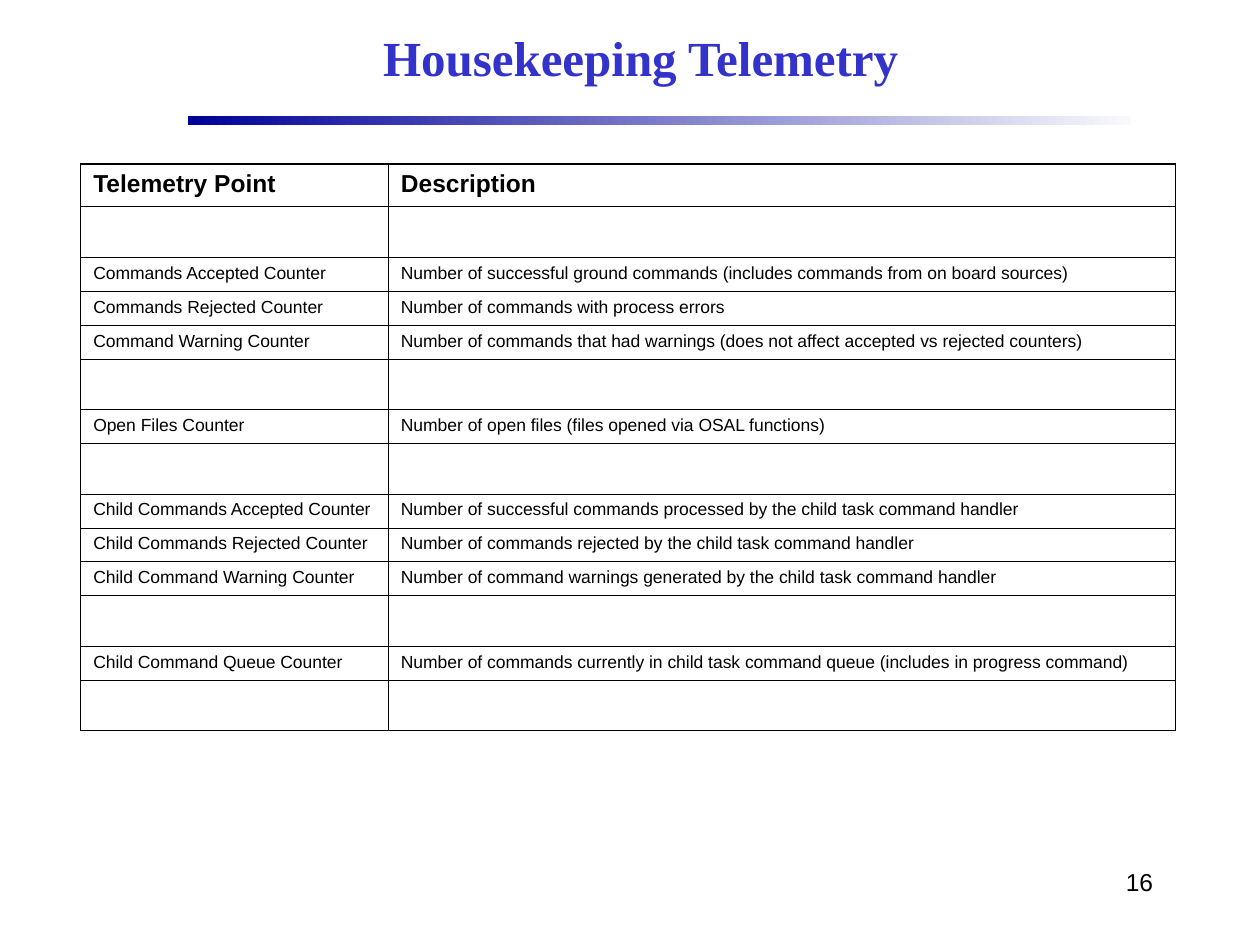
from dataclasses import dataclass

from lxml.etree import SubElement
from pptx import Presentation
from pptx.dml.color import RGBColor
from pptx.enum.shapes import MSO_SHAPE
from pptx.enum.text import MSO_ANCHOR, PP_ALIGN
from pptx.oxml.ns import qn
from pptx.util import Inches, Pt


@dataclass(frozen=True)
class Theme:
    ink: str = "000000"
    title: str = "3333CC"
    bar: tuple = ("000099", "F9F9FD")
    sans: str = "Arial"
    serif: str = "Times New Roman"
    big: int = 28
    mid: int = 14
    small: int = 10
    thin: float = 0.45
    thick: float = 1.08


THEME = Theme()
HEAD = ("Telemetry Point", "Description")
GAP = ("", "")
ROWS = [
    HEAD,
    GAP,
    ("Commands Accepted Counter",
     "Number of successful ground commands (includes commands from on board sources)"),
    ("Commands Rejected Counter", "Number of commands with process errors"),
    ("Command Warning Counter",
     "Number of commands that had warnings (does not affect accepted vs rejected counters)"),
    GAP,
    ("Open Files Counter", "Number of open files (files opened via OSAL functions)"),
    GAP,
    ("Child Commands Accepted Counter",
     "Number of successful commands processed by the child task command handler"),
    ("Child Commands Rejected Counter",
     "Number of commands rejected by the child task command handler"),
    ("Child Command Warning Counter",
     "Number of command warnings generated by the child task command handler"),
    GAP,
    ("Child Command Queue Counter",
     "Number of commands currently in child task command queue (includes in progress command)"),
    GAP,
]


def put(frame, text, size=THEME.small, font=THEME.sans, color=THEME.ink,
        bold=False, align=PP_ALIGN.LEFT):
    frame.word_wrap = True
    par = frame.paragraphs[0]
    par.alignment = align
    run = par.add_run()
    run.text = text
    run.font.size = Pt(size)
    run.font.name = font
    run.font.bold = bold
    run.font.color.rgb = RGBColor.from_string(color)


def add_title(slide, box, text):
    frame = slide.shapes.add_textbox(*box).text_frame
    frame.vertical_anchor = MSO_ANCHOR.MIDDLE
    put(frame, text, size=THEME.big, font=THEME.serif, color=THEME.title,
        bold=True, align=PP_ALIGN.CENTER)


def add_bar(slide, box):
    bar = slide.shapes.add_shape(MSO_SHAPE.RECTANGLE, *box)
    bar.shadow.inherit = False
    bar.line.fill.background()
    bar.fill.gradient()
    bar.fill.gradient_angle = 0
    for stop, color, place in zip(bar.fill.gradient_stops, THEME.bar, (0, 1)):
        stop.color.rgb = RGBColor.from_string(color)
        stop.position = place


def add_edges(cell, **widths):
    """Draw the cell borders; widths must come in the order L, R, T, B."""
    props = cell._tc.get_or_add_tcPr()
    for side, width in widths.items():
        line = SubElement(props, qn(f"a:ln{side}"), w=str(Pt(width)))
        fill = SubElement(line, qn("a:solidFill"))
        SubElement(fill, qn("a:srgbClr"), val=THEME.ink)


def row_height(row):
    if row is HEAD:
        return Inches(0.34)
    return Inches(0.38) if row is GAP else Inches(0.27)


def add_grid(slide, box, rows, split=0.281):
    """Place the table; split is the first column's share of the width."""
    left, top, width, height = box
    grid = slide.shapes.add_table(len(rows), 2, left, top, width, height).table
    grid.first_row = grid.horz_banding = False
    first = int(width * split)
    grid.columns[0].width = first
    grid.columns[1].width = width - first
    for r, row in enumerate(rows):
        grid.rows[r].height = row_height(row)
        head = row is HEAD
        for c, text in enumerate(row):
            cell = grid.cell(r, c)
            put(cell.text_frame, text, bold=head,
                size=THEME.mid if head else THEME.small)
            add_edges(cell,
                      L=THEME.thin if c else THEME.thick,
                      R=THEME.thick if c else THEME.thin,
                      T=THEME.thick if head else THEME.thin,
                      B=THEME.thin)
            cell.fill.background()


def add_number(slide, box, text):
    frame = slide.shapes.add_textbox(*box).text_frame
    put(frame, text, size=THEME.mid, align=PP_ALIGN.RIGHT)


def area(*sides):
    return tuple(Inches(side) for side in sides)


def main():
    deck = Presentation()
    deck.slide_width, deck.slide_height = Inches(10), Inches(7.5)
    slide = deck.slides.add_slide(deck.slide_layouts[6])
    add_bar(slide, area(1.49, 0.92, 7.49, 0.07))
    add_number(slide, area(7.17, 6.83, 2.08, 0.5), "16")
    add_title(slide, area(1.5, 0.08, 7.17, 0.75), "Housekeeping Telemetry")
    add_grid(slide, area(0.64, 1.3, 8.69, 4.4), ROWS)
    deck.save("out.pptx")


if __name__ == "__main__":
    main()
